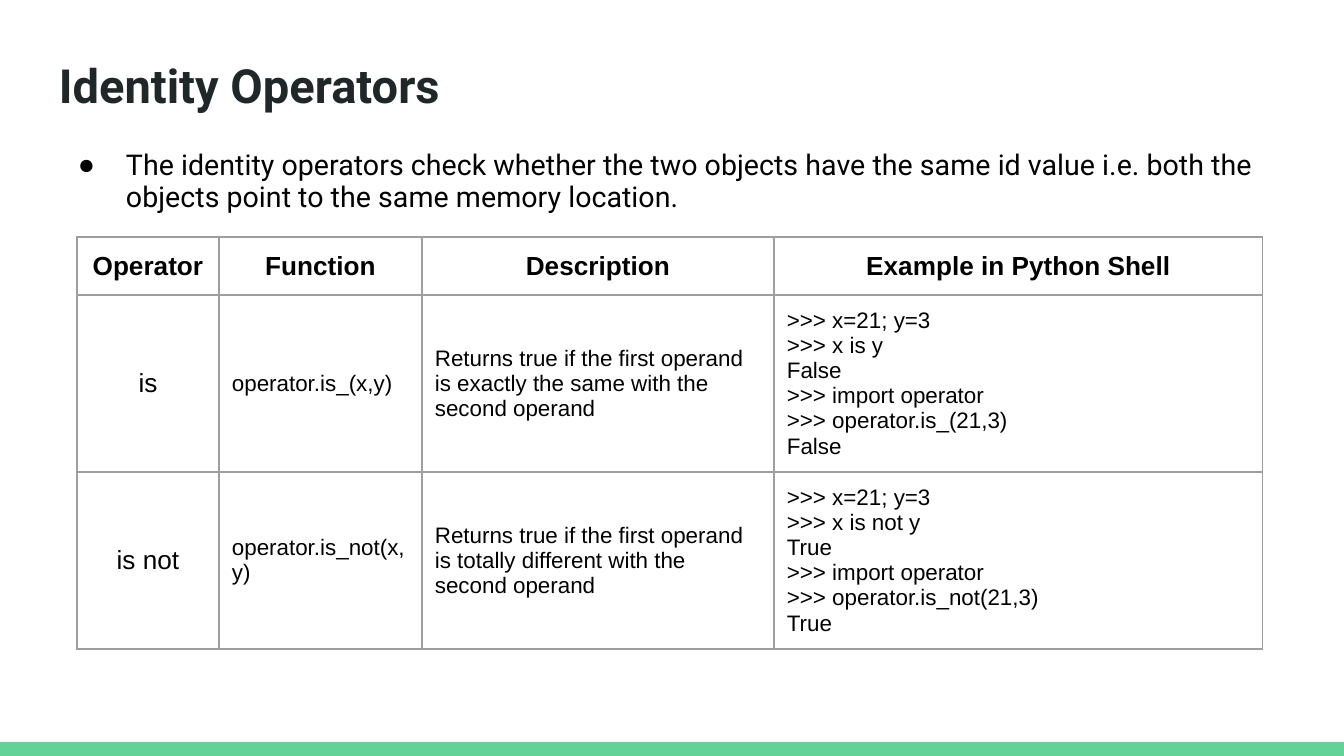
from dataclasses import dataclass

from lxml.etree import SubElement
from pptx import Presentation
from pptx.dml.color import RGBColor
from pptx.enum.shapes import MSO_SHAPE as Shape
from pptx.enum.text import MSO_ANCHOR as Anchor, MSO_AUTO_SIZE as AutoSize, PP_ALIGN as Align
from pptx.oxml import parse_xml
from pptx.oxml.ns import nsdecls, qn
from pptx.util import Pt

EMU_PER_PX = 914400 / 134.4


def px(length):
    return round(length * EMU_PER_PX)


@dataclass(frozen=True)
class Theme:
    heading_font: str = "Roboto"
    table_font: str = "Arial"
    ink: str = "000000"
    title_ink: str = "202729"
    accent: str = "63D297"
    border: str = "9E9E9E"
    title_size: float = 25.2
    body_size: float = 15.3
    label_size: float = 14
    detail_size: float = 12
    border_width: float = 0.75
    inset: int = 13


class SlideBuilder:
    def __init__(self, slide, theme):
        self.slide = slide
        self.theme = theme

    def style(self, frame, font_name, size, color, bold=False, align=Align.LEFT):
        for paragraph in frame.paragraphs:
            paragraph.alignment = align
            for run in paragraph.runs:
                run.font.name = font_name
                run.font.size = Pt(size)
                run.font.bold = bold
                run.font.color.rgb = RGBColor.from_string(color)

    def set_insets(self, target):
        inset = px(self.theme.inset)
        target.margin_left = target.margin_right = inset
        target.margin_top = target.margin_bottom = inset

    def place(self, placeholder, text, left, top, width, height):
        placeholder.left, placeholder.top = px(left), px(top)
        placeholder.width, placeholder.height = px(width), px(height)
        frame = placeholder.text_frame
        frame.text = text
        frame.word_wrap = True
        frame.auto_size = AutoSize.NONE
        frame.vertical_anchor = Anchor.TOP
        self.set_insets(frame)
        return frame

    def bar(self, left, top, width, height):
        band = self.slide.shapes.add_shape(
            Shape.RECTANGLE, px(left), px(top), px(width), px(height))
        band.shadow.inherit = False
        band.fill.solid()
        band.fill.fore_color.rgb = RGBColor.from_string(self.theme.accent)
        band.line.fill.background()

    def title(self, text, *box):
        frame = self.place(self.slide.shapes.title, text, *box)
        self.style(frame, self.theme.heading_font, self.theme.title_size,
                   self.theme.title_ink, bold=True)

    def bullets(self, text, *box):
        frame = self.place(self.slide.placeholders[1], text, *box)
        for paragraph in frame.paragraphs:
            props = paragraph._p.get_or_add_pPr()
            props.set("marL", str(px(67)))
            props.set("indent", str(px(-48)))
            bullet_color = SubElement(props, qn("a:buClr"))
            SubElement(bullet_color, qn("a:srgbClr"), val=self.theme.ink)
            SubElement(props, qn("a:buChar"), char="●")
            paragraph.space_before = Pt(0)
            paragraph.line_spacing = 0.95
        self.style(frame, self.theme.heading_font, self.theme.body_size, self.theme.ink)

    def borders(self, cell):
        props = cell._tc.get_or_add_tcPr()
        for position, side in enumerate(("lnL", "lnR", "lnT", "lnB")):
            props.insert(position, parse_xml(
                f'<a:{side} {nsdecls("a")} w="{Pt(self.theme.border_width)}">'
                f'<a:solidFill><a:srgbClr val="{self.theme.border}"/></a:solidFill>'
                f'</a:{side}>'))

    def table(self, rows, left, top, col_widths, row_heights):
        table = self.slide.shapes.add_table(
            len(rows), len(col_widths), px(left), px(top),
            px(sum(col_widths)), px(sum(row_heights))).table
        table.first_row = table.horz_banding = False
        for column, width in zip(table.columns, col_widths):
            column.width = px(width)
        for row, height in zip(table.rows, row_heights):
            row.height = px(height)
        for r, row in enumerate(rows):
            for c, text in enumerate(row):
                cell = table.cell(r, c)
                cell.text_frame.text = text
                cell.vertical_anchor = Anchor.MIDDLE
                self.set_insets(cell)
                cell.fill.background()
                self.borders(cell)
                is_label = r == 0 or c == 0
                self.style(cell.text_frame, self.theme.table_font,
                           self.theme.label_size if is_label else self.theme.detail_size,
                           self.theme.ink, bold=r == 0,
                           align=Align.CENTER if is_label else Align.LEFT)


def shell_session(expression, call, result):
    return "\n".join((">>> x=21; y=3", f">>> {expression}", result,
                      ">>> import operator", f">>> {call}", result))


def main():
    deck = Presentation()
    deck.slide_width, deck.slide_height = px(1344), px(756)
    builder = SlideBuilder(deck.slides.add_slide(deck.slide_layouts[1]), Theme())

    # Footer band
    builder.bar(0, 742, 1344, 14)

    # Heading and definition
    builder.title("Identity Operators", 46, 43, 1252, 85)
    builder.bullets(
        "The identity operators check whether the two objects have the same id value "
        "i.e. both the objects point to the same memory location.",
        46, 136, 1252, 93)

    # Operator reference
    operators = [
        ("Operator", "Function", "Description", "Example in Python Shell"),
        ("is", "operator.is_(x,y)",
         "Returns true if the first operand is exactly the same with the second operand",
         shell_session("x is y", "operator.is_(21,3)", "False")),
        ("is not", "operator.is_not(x,y)",
         "Returns true if the first operand is totally different with the second operand",
         shell_session("x is not y", "operator.is_not(21,3)", "True")),
    ]
    builder.table(operators, 77, 237, (142, 203, 352, 489), (58, 177, 177))

    deck.save("out.pptx")


if __name__ == "__main__":
    main()
